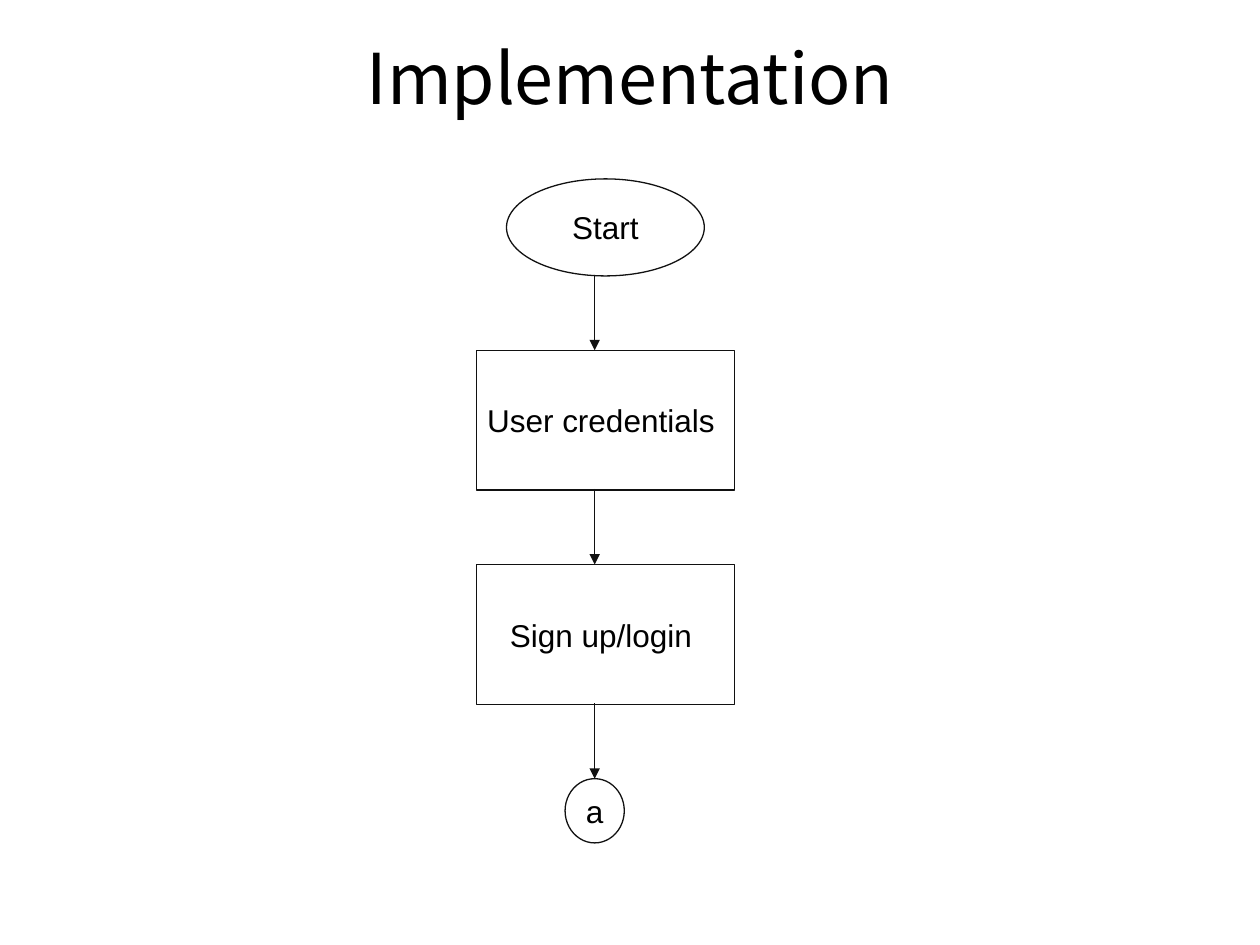
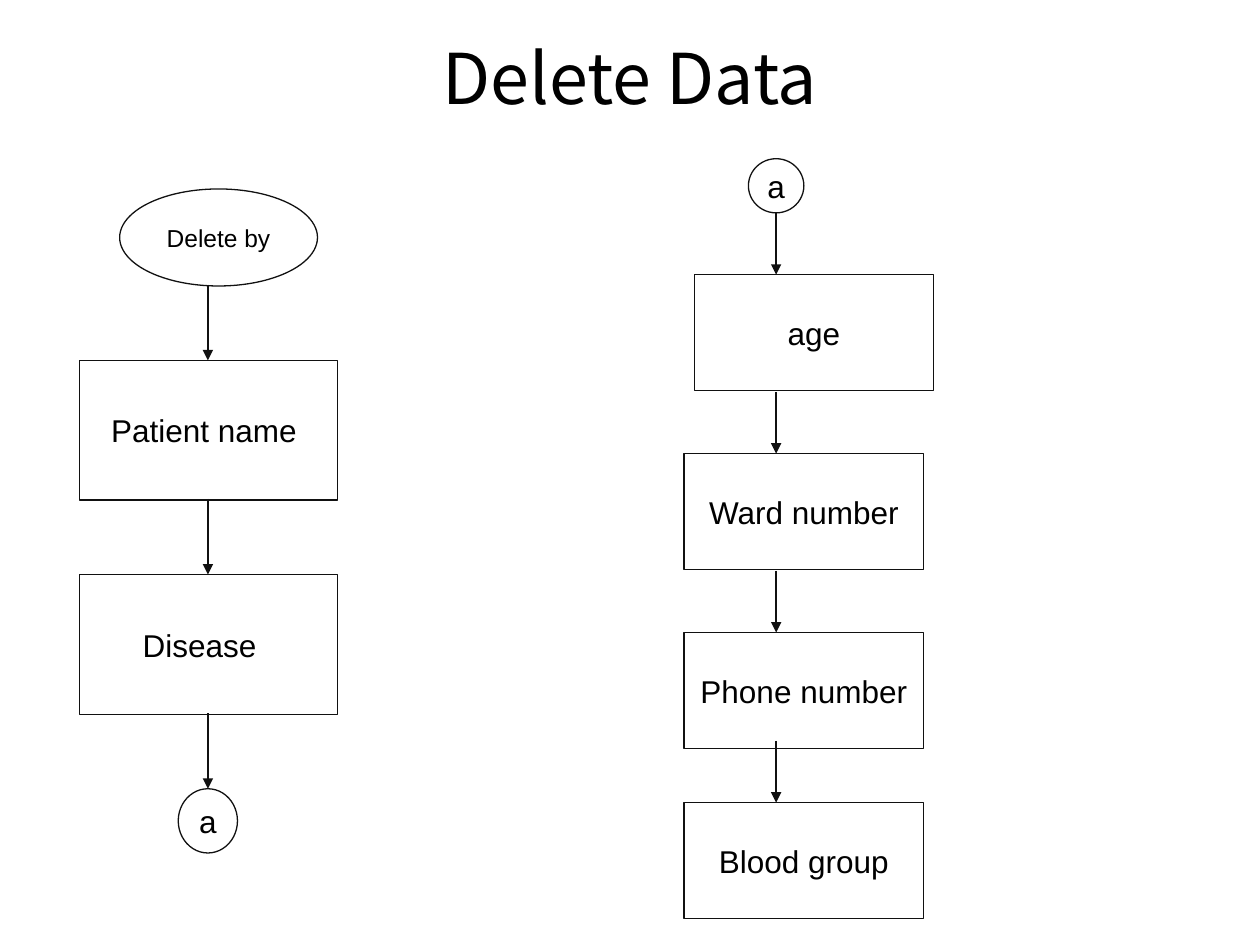
from pptx import Presentation
from pptx.dml.color import RGBColor
from pptx.enum.shapes import MSO_CONNECTOR as LINE, MSO_SHAPE as SHAPE
from pptx.enum.text import MSO_ANCHOR as ANCHOR, MSO_AUTO_SIZE as FIT, PP_ALIGN as ALIGN
from pptx.oxml.ns import qn
from pptx.util import Inches, Pt
from lxml.etree import SubElement

BLACK = RGBColor(0, 0, 0)
INK = RGBColor(0x11, 0x11, 0x11)
WHITE = RGBColor(0xFF, 0xFF, 0xFF)
TITLE_FONT, NODE_FONT = "Noto Sans CJK KR", "Arial"
SPACE = 0.07  # room that shifts a label left of centre


def style(frame, text, font, size):
    """Set one centred paragraph."""
    frame.text = text
    frame.vertical_anchor = ANCHOR.MIDDLE
    para = frame.paragraphs[0]
    para.alignment = ALIGN.CENTER
    para.font.name, para.font.size = font, Pt(size)
    para.font.color.rgb = BLACK


def new_slide(deck, text):
    """Add a white slide with its title."""
    slide = deck.slides.add_slide(deck.slide_layouts[5])
    slide.background.fill.solid()
    slide.background.fill.fore_color.rgb = WHITE
    title = slide.shapes.title
    title.left, title.top = Inches(0), Inches(0.02)
    title.width, title.height = Inches(10), Inches(1.17)
    frame = title.text_frame
    frame.auto_size = FIT.NONE
    frame.margin_left = frame.margin_right = 0
    frame.margin_top = frame.margin_bottom = 0
    style(frame, text, TITLE_FONT, 40)
    return slide


def node(slide, kind, x, y, size, text, points=18, pad=0):
    """Add an outlined shape with a label."""
    wide, high = size
    shape = slide.shapes.add_shape(
        kind, Inches(x), Inches(y), Inches(wide), Inches(high))
    shape.shadow.inherit = False
    shape.fill.solid()
    shape.fill.fore_color.rgb = WHITE
    shape.line.color.rgb = INK
    shape.line.width = Pt(0.75)
    frame = shape.text_frame
    frame.word_wrap = False
    frame.margin_right = Inches(0.1 + pad)
    style(frame, text, NODE_FONT, points)


def arrow(slide, x, top, end):
    """Add a downward arrow."""
    link = slide.shapes.add_connector(
        LINE.STRAIGHT, Inches(x), Inches(top), Inches(x), Inches(end))
    link.line.color.rgb = INK
    link.line.width = Pt(0.75)
    SubElement(link.line._get_or_add_ln(), qn("a:tailEnd"), type="triangle")
    SubElement(link._element.spPr, qn("a:effectLst"))


def main_flow(slide, axis, top, left, start, points, steps):
    """Start oval, boxes one below the other, then the link circle."""
    box, oval, dot = (2.05, 1.11), (1.57, 0.77), (0.47, 0.51)
    first, pitch, gap = 1.36, 1.7, 0.6
    node(slide, SHAPE.OVAL, axis - 0.7, top, oval, start, points)
    for i, (text, pad) in enumerate(steps):
        node(slide, SHAPE.RECTANGLE, left, top + first + i * pitch, box,
             text, pad=pad)
    last = top + first + len(steps) * pitch
    node(slide, SHAPE.OVAL, axis - dot[0] / 2, last, dot, "a")
    for i in range(len(steps) + 1):
        end = top + first + i * pitch
        arrow(slide, axis, end - gap, end)


def next_flow(slide, axis, top, steps):
    """Link circle, then the remaining boxes."""
    box, dot = (1.9, 0.92), (0.44, 0.43)
    node(slide, SHAPE.OVAL, axis - dot[0] / 2, top, dot, "a")
    for text, shift, drop in steps:
        y = top + drop
        node(slide, SHAPE.RECTANGLE, axis - 0.73 + shift, y, box, text)
        arrow(slide, axis, y - 0.49, y)


deck = Presentation()
deck.slide_width, deck.slide_height = Inches(10), Inches(7.5)

# Sign-in flow
slide = new_slide(deck, "Implementation")
main_flow(slide, 4.72, 1.42, 3.78, "Start", 18,
          [("User credentials", SPACE), ("Sign up/login", SPACE)])

# Deletion flow in two columns
slide = new_slide(deck, "Delete Data")
main_flow(slide, 1.65, 1.5, 0.63, "Delete by", 14,
          [("Patient name", SPACE), ("Disease", 2 * SPACE)])
next_flow(slide, 6.16, 1.26,
          [("age", 0.08, 0.92), ("Ward number", 0, 2.34),
           ("Phone number", 0, 3.76), ("Blood group", 0, 5.11)])

deck.save("out.pptx")
